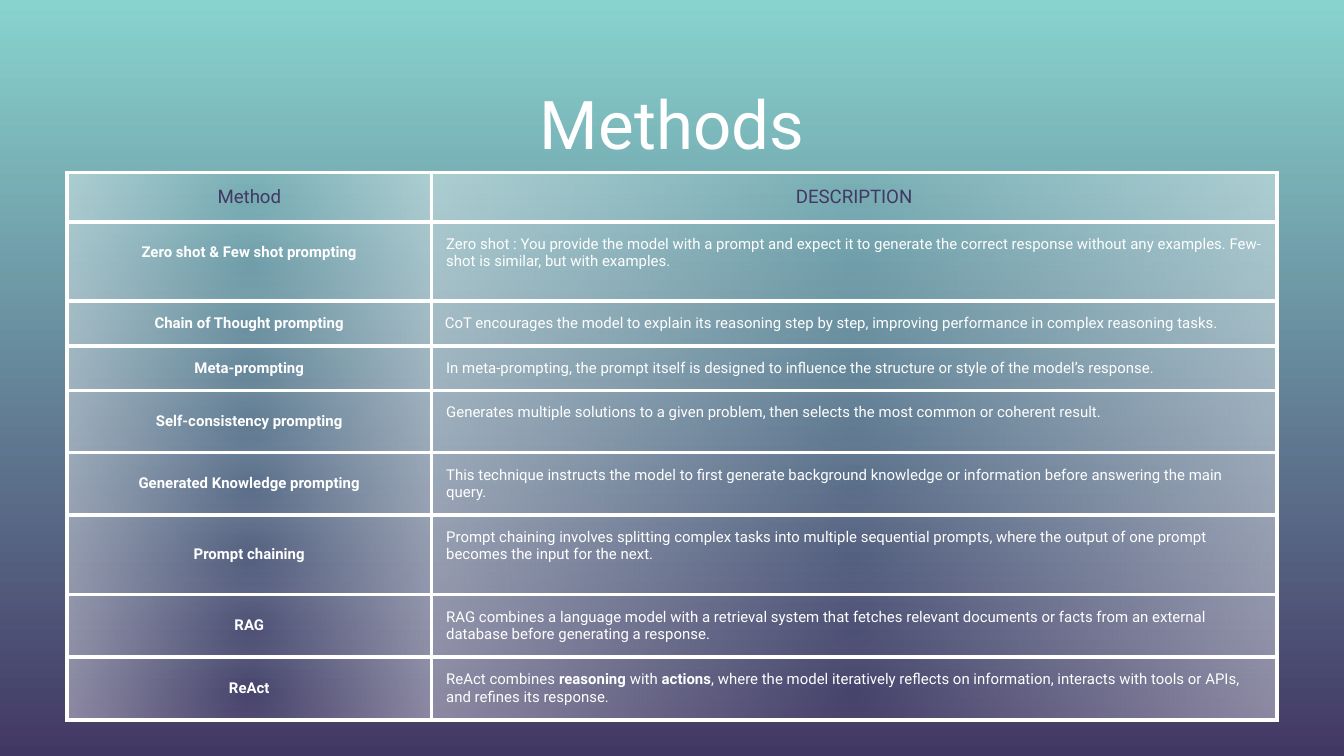
from dataclasses import dataclass

import pptx
import pptx.dml.color
import pptx.enum.text
import pptx.oxml
import pptx.oxml.ns
import pptx.util
from pptx.enum.text import MSO_ANCHOR, PP_ALIGN


@dataclass(frozen=True)
class Theme:
    font: str = "Roboto"
    white: str = "FFFFFF"
    purple: str = "423864"
    teal: str = "88D3CE"
    title_size: float = 36
    header_size: float = 10
    body_size: float = 8
    border: float = 2.25
    edge_opacity: int = 39
    inset: float = 0.1
    indent: float = 0.01


# Method, description (** marks bold), height in inches, description anchor
METHODS = [
    ("Zero shot & Few shot prompting",
     "Zero shot : You provide the model with a prompt and expect it to generate the correct "
     "response without any examples. Few-shot is similar, but with examples.",
     0.59, MSO_ANCHOR.TOP),
    ("Chain of Thought prompting",
     "CoT encourages the model to explain its reasoning step by step, improving performance "
     "in complex reasoning tasks.",
     0.33, MSO_ANCHOR.MIDDLE),
    ("Meta-prompting",
     "In meta-prompting, the prompt itself is designed to influence the structure or style of "
     "the model’s response.",
     0.33, MSO_ANCHOR.MIDDLE),
    ("Self-consistency prompting",
     "Generates multiple solutions to a given problem, then selects the most common or "
     "coherent result.",
     0.46, MSO_ANCHOR.TOP),
    ("Generated Knowledge prompting",
     "This technique instructs the model to first generate background knowledge or "
     "information before answering the main query.",
     0.46, MSO_ANCHOR.MIDDLE),
    ("Prompt chaining",
     "Prompt chaining involves splitting complex tasks into multiple sequential prompts, "
     "where the output of one prompt becomes the input for the next.",
     0.59, MSO_ANCHOR.TOP),
    ("RAG",
     "RAG combines a language model with a retrieval system that fetches relevant documents "
     "or facts from an external database before generating a response.",
     0.46, MSO_ANCHOR.MIDDLE),
    ("ReAct",
     "ReAct combines **reasoning** with **actions**, where the model iteratively reflects on "
     "information, interacts with tools or APIs, and refines its response.",
     0.46, MSO_ANCHOR.MIDDLE),
]
HEADER_HEIGHT = 0.36


class SlideBuilder:
    def __init__(self, presentation, theme):
        self.theme = theme
        self.width = presentation.slide_width
        self.height = presentation.slide_height
        self.slide = presentation.slides.add_slide(presentation.slide_layouts[6])

    def area(self, left, top, width, height):
        """Turn shares of the slide into lengths."""
        return (round(left * self.width), round(top * self.height),
                round(width * self.width), round(height * self.height))

    def background(self, top_color, bottom_color):
        fill = self.slide.background.fill
        fill.gradient()
        fill.gradient_angle = 270
        for stop, color in zip(fill.gradient_stops, (top_color, bottom_color)):
            stop.color.rgb = pptx.dml.color.RGBColor.from_string(color)

    def set_text(self, paragraph, text, size, color, bold=False, align=PP_ALIGN.LEFT):
        paragraph.alignment = align
        pieces = text.split("**")
        for index, piece in enumerate(pieces):
            run = paragraph.add_run()
            run.text = piece
            if len(pieces) > 1:
                run.font.bold = index % 2 == 1
        font = paragraph.font
        font.name = self.theme.font
        font.size = pptx.util.Pt(size)
        font.color.rgb = pptx.dml.color.RGBColor.from_string(color)
        if len(pieces) == 1:
            font.bold = bold

    def title(self, text, area):
        frame = self.slide.shapes.add_textbox(*self.area(*area)).text_frame
        frame.word_wrap = True
        frame.vertical_anchor = MSO_ANCHOR.BOTTOM
        frame.margin_left = frame.margin_right = pptx.util.Inches(self.theme.inset)
        frame.margin_top = pptx.util.Inches(self.theme.inset)
        frame.margin_bottom = pptx.util.Inches(0.01)
        self.set_text(frame.paragraphs[0], text, self.theme.title_size, self.theme.white,
                      align=PP_ALIGN.CENTER)

    def table(self, left, top, columns, rows):
        """Columns are shares of the slide width, rows are heights in inches."""
        heights = [pptx.util.Inches(row) for row in rows]
        x, y, width, _ = self.area(left, top, sum(columns), 0)
        table = self.slide.shapes.add_table(
            len(rows), len(columns), x, y, width, sum(heights)).table
        table.first_row = table.horz_banding = False
        for column, share in zip(table.columns, columns):
            column.width = round(share * self.width)
        for row, height in zip(table.rows, heights):
            row.height = height
        return table

    def cell(self, cell, text, size, color, bold=False, align=PP_ALIGN.CENTER,
             anchor=MSO_ANCHOR.MIDDLE):
        inset = pptx.util.Inches(self.theme.inset)
        cell.margin_left = cell.margin_right = inset
        cell.margin_top = cell.margin_bottom = inset
        cell.vertical_anchor = anchor
        paragraph = cell.text_frame.paragraphs[0]
        self.set_text(paragraph, text, size, color, bold, align)
        self.glass(cell)
        return paragraph

    def glass(self, cell):
        """White borders and a radial fill that fades to clear in the middle."""
        theme = self.theme
        namespace = pptx.oxml.ns.nsdecls("a")
        properties = cell._tc.get_or_add_tcPr()
        for side in "LRTB":
            properties.append(pptx.oxml.parse_xml(
                f'<a:ln{side} {namespace} w="{pptx.util.Pt(theme.border)}"><a:solidFill>'
                f'<a:srgbClr val="{theme.white}"/></a:solidFill></a:ln{side}>'))
        stops = "".join(
            f'<a:gs pos="{position * 1000}"><a:srgbClr val="{theme.white}">'
            f'<a:alpha val="{opacity * 1000}"/></a:srgbClr></a:gs>'
            for position, opacity in ((0, 0), (100, theme.edge_opacity)))
        properties.append(pptx.oxml.parse_xml(
            f'<a:gradFill {namespace}><a:gsLst>{stops}</a:gsLst><a:path path="circle">'
            '<a:fillToRect l="50000" t="50000" r="50000" b="50000"/></a:path></a:gradFill>'))


def main():
    presentation = pptx.Presentation()
    presentation.slide_width = pptx.util.Inches(10)
    presentation.slide_height = pptx.util.Inches(10 * 9 / 16)
    theme = Theme()
    builder = SlideBuilder(presentation, theme)

    # Background and title
    builder.background(theme.teal, theme.purple)
    builder.title("Methods", (0.05, 0.087, 0.9, 0.13))

    # Table header
    heights = [HEADER_HEIGHT] + [height for _, _, height, _ in METHODS]
    table = builder.table(0.05, 0.228, (0.271, 0.629), heights)
    for column, heading in enumerate(("Method", "DESCRIPTION")):
        builder.cell(table.cell(0, column), heading, theme.header_size, theme.purple)

    # One row for each method
    for row, (method, description, _, anchor) in enumerate(METHODS, start=1):
        builder.cell(table.cell(row, 0), method, theme.body_size, theme.white, bold=True)
        paragraph = builder.cell(table.cell(row, 1), description, theme.body_size,
                                 theme.white, align=PP_ALIGN.LEFT, anchor=anchor)
        if not description.startswith("CoT"):
            paragraph._p.get_or_add_pPr().set("marL", str(pptx.util.Inches(theme.indent)))

    # The first label sits a little above the middle
    table.cell(1, 0).margin_bottom = pptx.util.Inches(0.23)

    presentation.save("out.pptx")


if __name__ == "__main__":
    main()
